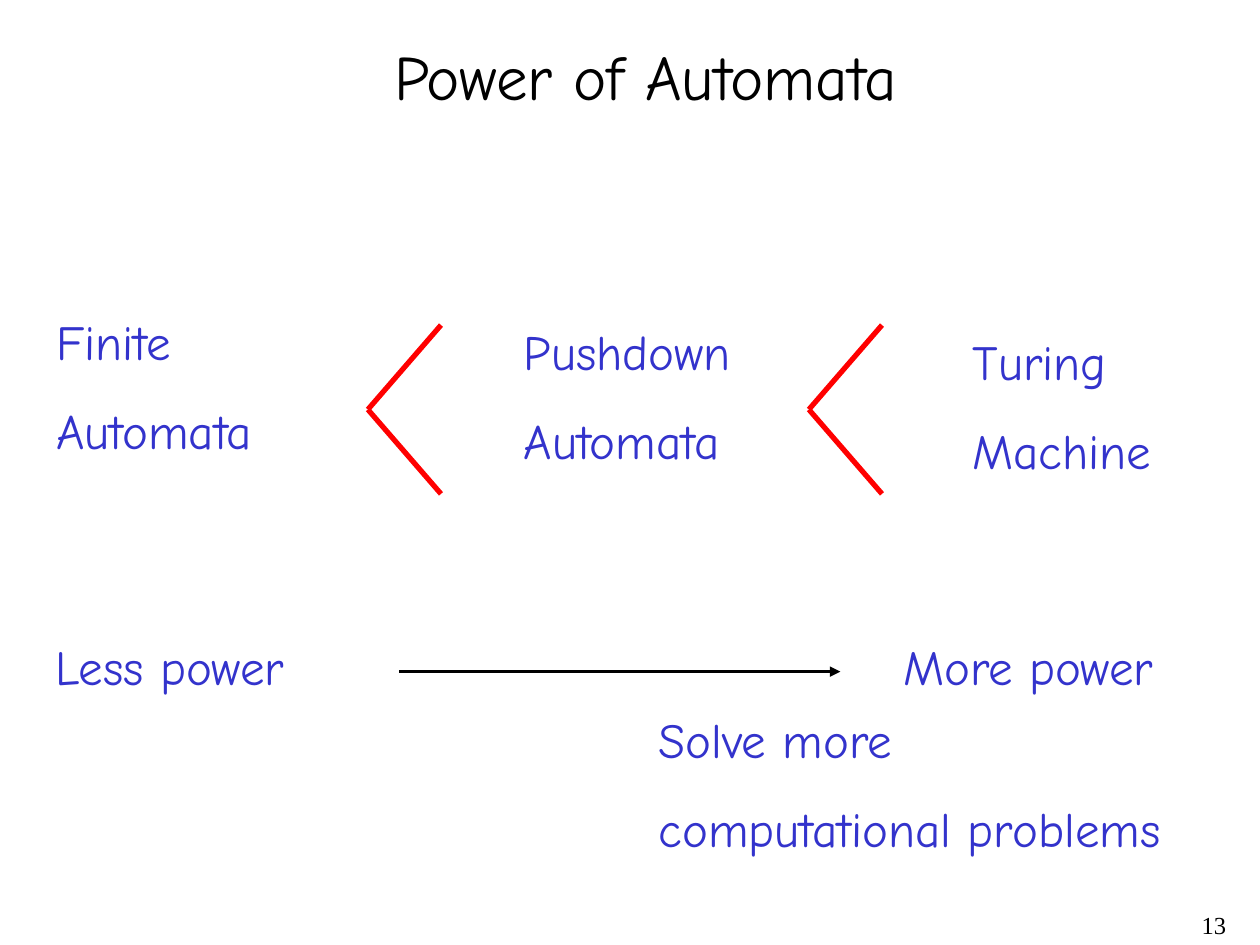
from dataclasses import dataclass

from lxml import etree
from pptx import Presentation
from pptx.dml.color import RGBColor
from pptx.enum.shapes import MSO_CONNECTOR
from pptx.enum.text import MSO_AUTO_SIZE, PP_ALIGN
from pptx.oxml.ns import qn
from pptx.slide import Slide
from pptx.util import Inches, Pt

STRAIGHT = MSO_CONNECTOR.STRAIGHT
GROW = MSO_AUTO_SIZE.SHAPE_TO_FIT_TEXT
FIXED = MSO_AUTO_SIZE.NONE
LEFT = PP_ALIGN.LEFT
RIGHT = PP_ALIGN.RIGHT

BLACK = RGBColor(0x00, 0x00, 0x00)
BLUE = RGBColor(0x33, 0x33, 0xCC)
RED = RGBColor(0xFF, 0x00, 0x00)

SPACE_PER_POINT = 0.625
SIGN_WIDTH, SIGN_HALF_HEIGHT = 0.58, 0.67
SIGN_MIDDLE = 3.25
SIGN_TIPS = (2.92, 6.42)


@dataclass(frozen=True)
class TextStyle:
    size: float
    color: RGBColor
    font: str = "Comic Neue"
    align: PP_ALIGN = LEFT
    space_before: float = 17.5
    wrap: bool = False


@dataclass(frozen=True)
class Label:
    left: float
    top: float
    width: float
    height: float
    lines: tuple[str, ...]
    style: TextStyle


TITLE = TextStyle(36, BLACK, space_before=36 * SPACE_PER_POINT)
BODY = TextStyle(28, BLUE, space_before=28 * SPACE_PER_POINT)
NUMBER = TextStyle(14, BLACK, "Times New Roman", RIGHT, 3.5, True)

LABELS = (
    Label(7.75, 7.17, 2.08, 0.33, ("13",), NUMBER),
    Label(0.35, 2.42, 1.77, 1.28, ("Finite", "Automata"), BODY),
    Label(4.06, 2.5, 1.84, 1.28, ("Pushdown", "Automata"), BODY),
    Label(7.62, 2.58, 1.62, 1.28, ("Turing", "Machine"), BODY),
    Label(3.03, 0.25, 4.25, 0.7, ("Power of Automata",), TITLE),
    Label(0.34, 5, 2.03, 0.57, ("Less power",), BODY),
    Label(7.07, 5, 2.2, 0.57, ("More power",), BODY),
    Label(5.13, 5.58, 4.2, 1.28, ("Solve more", "computational problems"), BODY),
)


def apply_format(target: object, values: dict[str, object]) -> None:
    for name, value in values.items():
        setattr(target, name, value)


def draw_label(page: Slide, label: Label) -> None:
    style = label.style
    box = page.shapes.add_textbox(
        Inches(label.left), Inches(label.top), Inches(label.width), Inches(label.height)
    )
    frame = box.text_frame
    apply_format(frame, {"word_wrap": style.wrap, "auto_size": FIXED if style.wrap else GROW})
    for index, line in enumerate(label.lines):
        para = frame.add_paragraph() if index else frame.paragraphs[0]
        apply_format(para, {"alignment": style.align, "space_before": Pt(style.space_before)})
        span = para.add_run()
        span.text = line
        apply_format(span.font, {"name": style.font, "size": Pt(style.size)})
        span.font.color.rgb = style.color


def draw_line(
    page: Slide,
    start: tuple[float, float],
    end: tuple[float, float],
    color: RGBColor,
    weight: float,
    arrow: bool = False,
) -> None:
    connector = page.shapes.add_connector(STRAIGHT, *map(Inches, start + end))
    connector.line.color.rgb = color
    connector.line.width = Pt(weight)
    properties = connector._element.spPr
    if arrow:
        etree.SubElement(properties.find(qn("a:ln")), qn("a:tailEnd"), type="triangle")
    etree.SubElement(properties, qn("a:effectLst"))


def draw_less_than(page: Slide, tip: float) -> None:
    vertex = (tip, SIGN_MIDDLE)
    right = tip + SIGN_WIDTH
    draw_line(page, (right, SIGN_MIDDLE - SIGN_HALF_HEIGHT), vertex, RED, 3)
    draw_line(page, vertex, (right, SIGN_MIDDLE + SIGN_HALF_HEIGHT), RED, 3)


def main() -> None:
    deck = Presentation()
    apply_format(deck, {"slide_width": Inches(10), "slide_height": Inches(7.5)})
    page = deck.slides.add_slide(deck.slide_layouts[6])
    for label in LABELS:
        draw_label(page, label)
    for tip in SIGN_TIPS:
        draw_less_than(page, tip)
    draw_line(page, (3.17, 5.33), (6.67, 5.33), BLACK, 2, arrow=True)
    deck.save("out.pptx")


if __name__ == "__main__":
    main()
